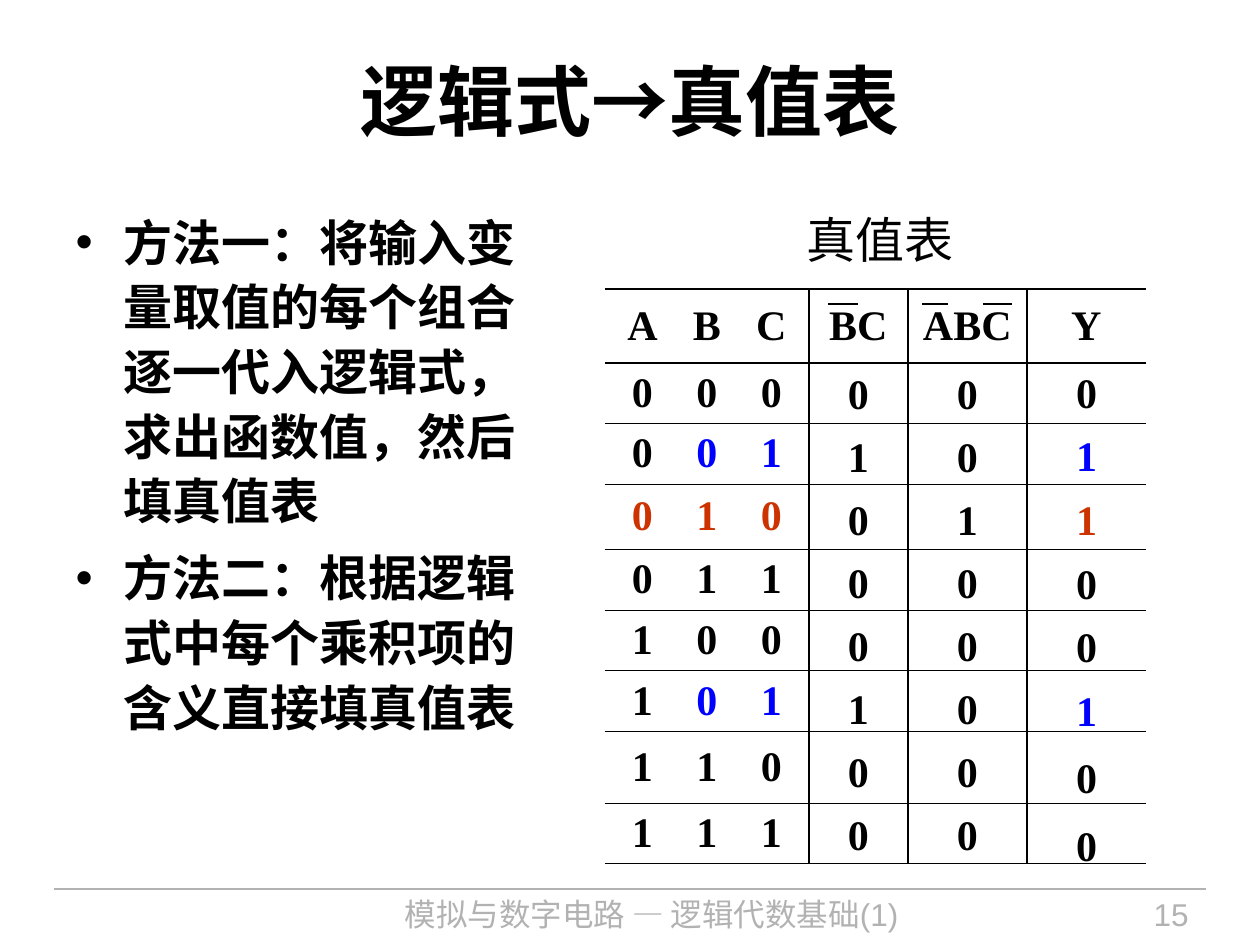
"""Build the slide that turns a logic expression into a truth table."""
from dataclasses import dataclass
from itertools import product

from lxml import etree
from pptx import Presentation
from pptx.dml.color import RGBColor
from pptx.enum.shapes import MSO_CONNECTOR
from pptx.enum.text import MSO_ANCHOR, MSO_AUTO_SIZE, PP_ALIGN
from pptx.oxml.ns import qn
from pptx.util import Pt

LEFT, CENTER, RIGHT = PP_ALIGN.LEFT, PP_ALIGN.CENTER, PP_ALIGN.RIGHT
TOP, MIDDLE = MSO_ANCHOR.TOP, MSO_ANCHOR.MIDDLE
NO_FIT, STRAIGHT = MSO_AUTO_SIZE.NONE, MSO_CONNECTOR.STRAIGHT
PIXEL = 914400 // 126
PLAIN_TABLE = "{2D5ABB26-0587-4C30-8999-92F81FD0307C}"


@dataclass(frozen=True)
class Theme:
    sans: str = "Arial"
    serif: str = "Times New Roman"
    ink: str = "000000"
    muted: str = "B2B2B2"
    blue: str = "0000FF"
    red: str = "CC3300"
    title: int = 44
    body: int = 28
    table: int = 24
    footer: int = 18
    thick: float = 1.08
    thin: float = 0.45


theme = Theme()


def write(frame, lines, size, color, align, font=theme.sans, bold=False, **spacing):
    for index, line in enumerate(lines):
        para = frame.paragraphs[0] if index == 0 else frame.add_paragraph()
        span = para.add_run()
        span.text = line
        for name, value in {"alignment": align, "space_before": Pt(0), **spacing}.items():
            setattr(para, name, value)
        for name, value in {"name": font, "size": Pt(size), "bold": bold}.items():
            setattr(span.font, name, value)
        span.font.color.rgb = RGBColor.from_string(color)


def add_grid(left, top, widths, heights, rows):
    frame = page.shapes.add_table(len(heights), len(widths), left * PIXEL, top * PIXEL,
                                  sum(widths) * PIXEL, sum(heights) * PIXEL)
    table = frame.table
    table.first_row = table.horz_banding = False
    table._tbl.tblPr.find(qn("a:tableStyleId")).text = PLAIN_TABLE
    for column, width in zip(table.columns, widths):
        column.width = width * PIXEL
    for row, height, entries in zip(table.rows, heights, rows):
        row.height = height * PIXEL
        for cell, (text, color) in zip(row.cells, entries):
            cell.fill.background()
            cell.vertical_anchor = MIDDLE
            cell.margin_top = cell.margin_bottom = 0
            if text:
                write(cell.text_frame, [text], theme.table, color, CENTER,
                      theme.serif, True, space_after=Pt(6))
    return table


deck = Presentation()
deck.slide_width, deck.slide_height = 1260 * PIXEL, 945 * PIXEL
page = deck.slides.add_slide(deck.slide_layouts[1])
title, body = page.placeholders

methods = ["方法一\uff1a将输入变量取值的每个组合逐一代入逻辑式\uff0c求出函数值\uff0c然后填真值表",
           "方法二\uff1a根据逻辑式中每个乘积项的含义直接填真值表"]
for box, place, anchor in ((title, (63, 21, 1134, 158), MIDDLE),
                           (body, (63, 200, 508, 561), TOP)):
    box.left, box.top, box.width, box.height = (value * PIXEL for value in place)
    box.text_frame.auto_size = NO_FIT
    box.text_frame.vertical_anchor = anchor
write(title.text_frame, ["逻辑式→真值表"], theme.title, theme.ink, CENTER, bold=True)
write(body.text_frame, methods, theme.body, theme.ink, LEFT, bold=True,
      line_spacing=1.1, space_after=Pt(7))
for para in body.text_frame.paragraphs:
    properties = para._p.get_or_add_pPr()
    properties.set("marL", str(48 * PIXEL))
    properties.set("indent", str(-48 * PIXEL))
    etree.SubElement(properties, qn("a:buChar"), char="•")

for text, place, size, color, align in (
        ("模拟与数字电路 — 逻辑代数基础(1)", (314, 889, 675, 55), theme.footer, theme.muted, CENTER),
        ("15", (1033, 889, 168, 55), theme.footer, theme.muted, RIGHT),
        ("真值表", (794, 203, 180, 72), theme.body, theme.ink, LEFT)):
    box = page.shapes.add_textbox(*(value * PIXEL for value in place))
    box.text_frame.word_wrap = True
    write(box.text_frame, [text], size, color, align)

inputs, terms, result = [], [], []
for a, b, c in product((0, 1), repeat=3):
    first, second = int(not b and c), int(not a and b and not c)
    accent = theme.blue if first else theme.red if second else theme.ink
    a_color = theme.red if second else theme.ink
    inputs.append([(str(a), a_color), (str(b), accent), (str(c), accent)] + [("", theme.ink)] * 3)
    terms.append([(str(first), theme.ink), (str(second), theme.ink)])
    result.append([(str(first or second), accent)])
header = [(text, theme.ink) for text in ("A", "B", "C", "BC", "ABC", "Y")]

truth_table = add_grid(605, 289, [75, 54, 75, 99, 119, 119],
                       [74, 60, 61, 65, 61, 61, 61, 72, 60], [header] + inputs)
last_column = len(truth_table.columns) - 1
for row_index, row in enumerate(truth_table.rows):
    for column_index, cell in enumerate(row.cells):
        borders = {
            "a:lnL": theme.thick if column_index > 2 else 0,
            "a:lnR": theme.thick if 2 <= column_index < last_column else 0,
            "a:lnT": theme.thick if row_index < 2 else theme.thin,
            "a:lnB": theme.thick if row_index == 0 else theme.thin,
        }
        properties = cell._tc.get_or_add_tcPr()
        edges = [(tag, width) for tag, width in borders.items() if width]
        for position, (tag, width) in enumerate(edges):
            edge = etree.Element(qn(tag), w=str(Pt(width)))
            fill = etree.SubElement(edge, qn("a:solidFill"))
            etree.SubElement(fill, qn("a:srgbClr"), val=theme.ink)
            properties.insert(position, edge)

add_grid(809, 364, [99, 119], [63] * 8, terms)
add_grid(1027, 363, [119], [62, 64, 64, 64, 63, 64, 71, 65], result)

for start, end, level, color, width in (
        (54, 1206, 889, theme.muted, 0.74),
        (828, 858, 304, theme.ink, 1.5),
        (922, 948, 304, theme.ink, 1.5),
        (983, 1012, 304, theme.ink, 1.5)):
    line = page.shapes.add_connector(STRAIGHT, *(value * PIXEL for value in (start, level, end, level)))
    line.line.color.rgb = RGBColor.from_string(color)
    line.line.width = Pt(width)
    etree.SubElement(line._element.spPr, qn("a:effectLst"))

deck.save("out.pptx")
